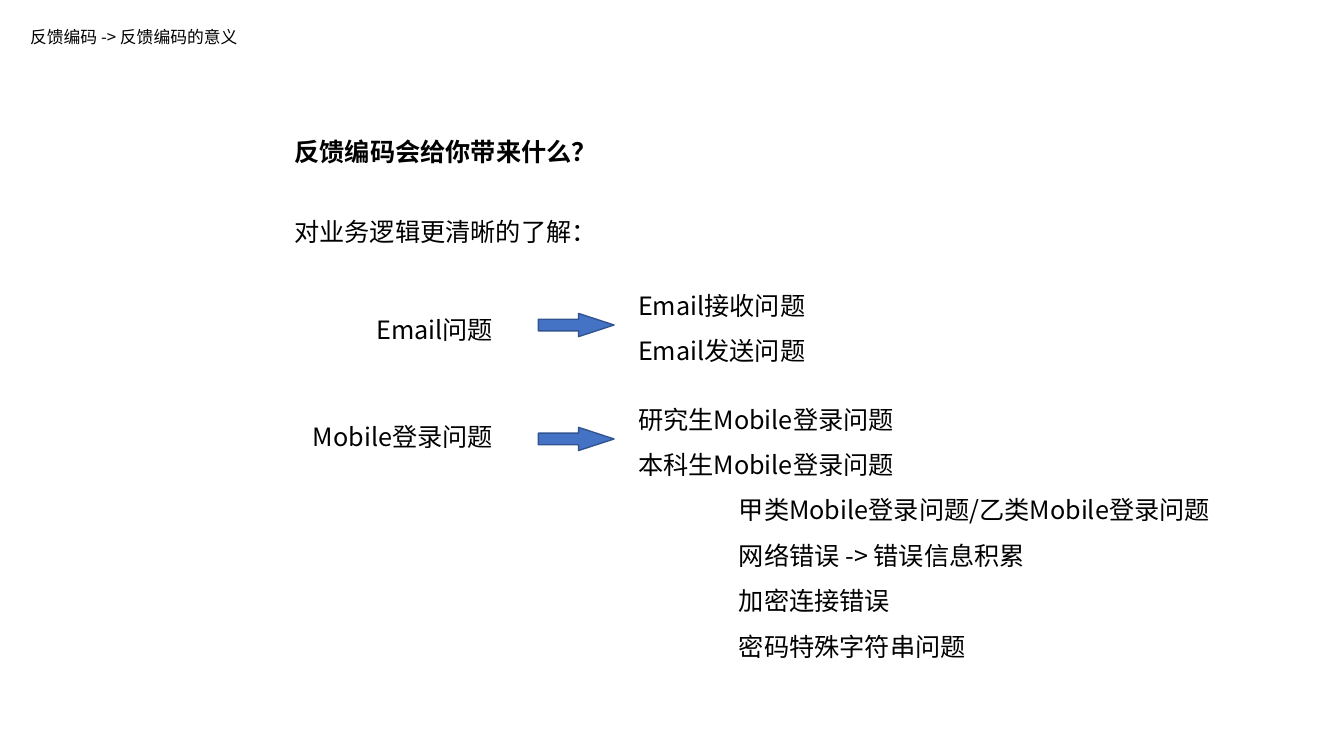
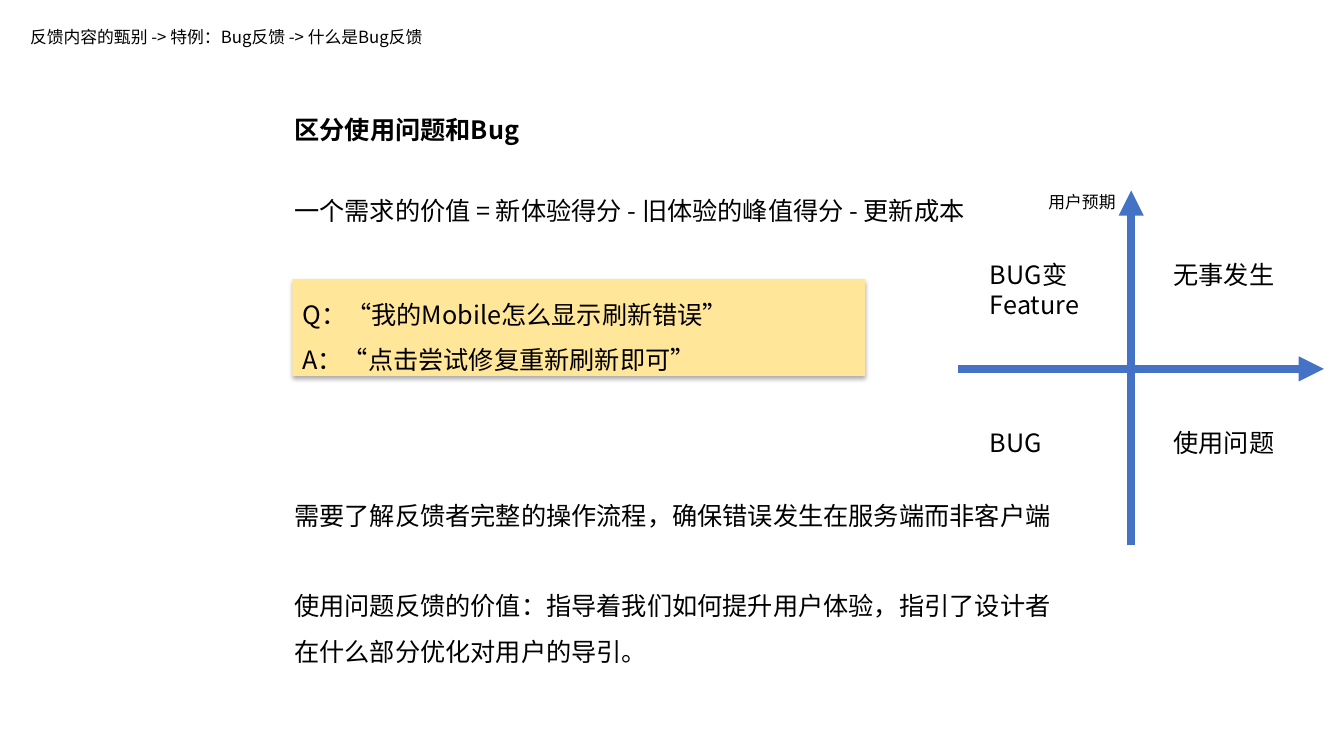
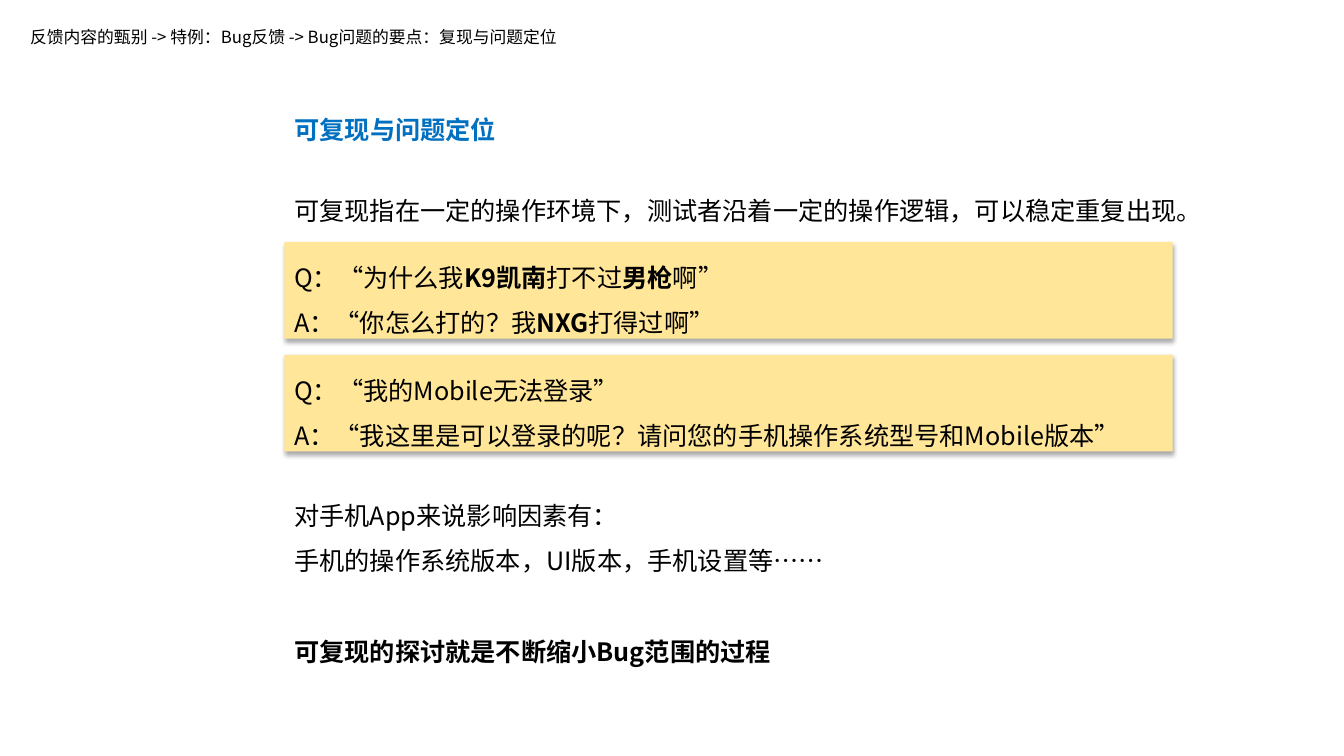
from lxml.etree import SubElement
from pptx import Presentation
from pptx.dml.color import RGBColor
from pptx.enum.shapes import MSO_CONNECTOR as CONNECTOR, MSO_SHAPE as SHAPE
from pptx.enum.text import MSO_ANCHOR as ANCHOR, MSO_AUTO_SIZE as AUTO_SIZE, PP_ALIGN as ALIGN
from pptx.oxml.ns import qn
from pptx.util import Inches, Pt

FONT = "Noto Sans CJK SC"
BLACK = RGBColor(0x00, 0x00, 0x00)
BLUE = RGBColor(0x44, 0x72, 0xC4)
DARK_BLUE = RGBColor(0x32, 0x54, 0x91)
HEADING_BLUE = RGBColor(0x00, 0x70, 0xC0)
YELLOW = RGBColor(0xFF, 0xE6, 0x99)

BODY, SMALL = 18, 12
SPACING = 1.5
ROW, PADDING = 0.45, 0.06
BODY_LEFT, BODY_WIDTH = 2.82, 7.7
TITLE_TOP, LEAD_TOP, CLOSING_TOP = 0.93, 1.74, 4.76
CAUSE_LEFT, ARROW_LEFT, DETAIL_LEFT, CAUSE_WIDTH = 2.66, 5.34, 6.23, 2.33
QUADRANT_LEFTS, QUADRANT_TOPS, QUADRANT_WIDTH = (9.72, 11.54), (2.52, 4.19), 1.59


def box(left, top, width, height):
    """Return a rectangle given in inches as lengths."""
    return [Inches(value) for value in (left, top, width, height)]


def rows(count):
    """Return the height of a box holding this many lines."""
    return PADDING + ROW * count


def write(shape, lines, size=BODY, color=BLACK, bold=False, align=ALIGN.LEFT, spacing=SPACING):
    """Fill a shape with lines in which bars enclose the bold parts."""
    frame = shape.text_frame
    frame.word_wrap = True
    frame.auto_size = AUTO_SIZE.SHAPE_TO_FIT_TEXT
    frame.vertical_anchor = ANCHOR.TOP
    for index, line in enumerate(lines):
        paragraph = frame.paragraphs[0] if index == 0 else frame.add_paragraph()
        paragraph.alignment = align
        paragraph.line_spacing = spacing
        for part, words in enumerate(line.split("|")):
            if words:
                run = paragraph.add_run()
                run.text = words
                run.font.size = Pt(size)
                run.font.bold = bold or part % 2 == 1
                run.font.color.rgb = color
                run.font.name = FONT
                SubElement(run._r.get_or_add_rPr(), qn("a:ea"), typeface=FONT)
    return frame.paragraphs


def add_text(slide, left, top, width, lines, **style):
    """Add a text box as high as its lines and return its paragraphs."""
    text = slide.shapes.add_textbox(*box(left, top, width, rows(len(lines))))
    return write(text, lines, **style)


def add_topic(deck, breadcrumb, heading, top=TITLE_TOP, color=BLACK):
    """Add a slide with its breadcrumb and heading."""
    slide = deck.slides.add_slide(deck.slide_layouts[5])
    title = slide.shapes.title
    title.left, title.top, title.width, title.height = box(BODY_LEFT, top, BODY_WIDTH, rows(1))
    write(title, [heading], color=color, bold=True)
    add_text(slide, 0.2, 0.12, BODY_WIDTH, [breadcrumb], size=SMALL)
    return slide


def add_dialogue(slide, left, top, width, question, answer):
    """Add a yellow card with a question and its answer."""
    card = slide.shapes.add_shape(SHAPE.RECTANGLE, *box(left, top, width, rows(2)))
    card.fill.solid()
    card.fill.fore_color.rgb = YELLOW
    card.line.fill.background()
    card.shadow.inherit = False
    effects = card._element.spPr.find(qn("a:effectLst"))
    shadow = SubElement(effects, qn("a:outerShdw"), blurRad=str(Pt(3.5)), dist=str(Pt(2.2)),
                        dir="5400000", algn="ctr", rotWithShape="0")
    tint = SubElement(shadow, qn("a:srgbClr"), val=str(BLACK))
    SubElement(tint, qn("a:alpha"), val="32000")
    write(card, [f"Q：{question}", f"A：{answer}"])


def add_arrow(slide, top):
    """Add a block arrow leading from a cause to its details."""
    arrow = slide.shapes.add_shape(SHAPE.RIGHT_ARROW, *box(ARROW_LEFT, top, 0.75, 0.23))
    arrow.adjustments[0], arrow.adjustments[1] = 0.5, 1.53
    arrow.fill.solid()
    arrow.fill.fore_color.rgb = BLUE
    arrow.line.color.rgb = DARK_BLUE
    arrow.line.width = Pt(1)
    arrow.shadow.inherit = False


def add_axis(slide, *ends):
    """Add a thick axis with an arrowhead at its far end."""
    axis = slide.shapes.add_connector(CONNECTOR.STRAIGHT, *box(*ends))
    axis.line.color.rgb = BLUE
    axis.line.width = Pt(6)
    properties = axis._element.spPr
    SubElement(properties.find(qn("a:ln")), qn("a:tailEnd"), type="triangle")
    SubElement(properties, qn("a:effectLst"))


def build_meaning(deck):
    """Build the slide on what coding feedback brings."""
    slide = add_topic(deck, "反馈编码 -> 反馈编码的意义", "反馈编码会给你带来什么？", top=1.15)
    add_text(slide, BODY_LEFT, 1.95, BODY_WIDTH, ["对业务逻辑更清晰的了解："])
    add_text(slide, CAUSE_LEFT, 2.92, CAUSE_WIDTH, ["Email问题"], align=ALIGN.RIGHT)
    add_arrow(slide, 3.11)
    add_text(slide, DETAIL_LEFT, 2.68, CAUSE_WIDTH, ["Email接收问题", "Email发送问题"])
    add_text(slide, CAUSE_LEFT, 3.98, CAUSE_WIDTH, ["Mobile登录问题"], align=ALIGN.RIGHT)
    add_arrow(slide, 4.24)
    details = add_text(slide, DETAIL_LEFT, 3.81, 6.56, [
        "研究生Mobile登录问题",
        "本科生Mobile登录问题",
        "甲类Mobile登录问题/乙类Mobile登录问题",
        "网络错误 -> 错误信息积累",
        "加密连接错误",
        "密码特殊字符串问题",
    ])
    for detail in details[2:]:
        detail._p.get_or_add_pPr().set("marL", str(Inches(1)))


def build_distinction(deck):
    """Build the slide that tells usage problems from bugs."""
    slide = add_topic(deck, "反馈内容的甄别 -> 特例：Bug反馈 -> 什么是Bug反馈", "区分使用问题和Bug")
    add_dialogue(slide, 2.9, 2.77, 5.68, "“我的Mobile怎么显示刷新错误”", "“点击尝试修复重新刷新即可”")
    add_text(slide, BODY_LEFT, LEAD_TOP, BODY_WIDTH,
             ["一个需求的价值 = 新体验得分 - 旧体验的峰值得分 - 更新成本"])
    closing = add_text(slide, BODY_LEFT, CLOSING_TOP, BODY_WIDTH, [
        "需要了解反馈者完整的操作流程，确保错误发生在服务端而非客户端",
        "使用问题反馈的价值：指导着我们如何提升用户体验，指引了设计者在什么部分优化对用户的导引。",
    ])
    closing[1].space_before = Inches(ROW)
    add_axis(slide, 9.5, 3.66, 13.13, 3.66)
    add_axis(slide, 11.22, 5.41, 11.22, 1.89)
    add_text(slide, 10.3, 1.85, QUADRANT_WIDTH, ["用户预期"], size=SMALL, spacing=1)
    quadrants = (("BUG变Feature", "无事发生"), ("BUG", "使用问题"))
    for top, labels in zip(QUADRANT_TOPS, quadrants):
        for left, label in zip(QUADRANT_LEFTS, labels):
            add_text(slide, left, top, QUADRANT_WIDTH, [label], spacing=1)


def build_reproduction(deck):
    """Build the slide on reproducing and locating a bug."""
    slide = add_topic(deck, "反馈内容的甄别 -> 特例：Bug反馈 -> Bug问题的要点：复现与问题定位",
                      "可复现与问题定位", color=HEADING_BLUE)
    add_text(slide, BODY_LEFT, LEAD_TOP, 9.01,
             ["可复现指在一定的操作环境下，测试者沿着一定的操作逻辑，可以稳定重复出现。"])
    dialogues = (
        ("“为什么我|K9凯南|打不过|男枪|啊”", "“你怎么打的？我|NXG|打得过啊”"),
        ("“我的Mobile无法登录”", "“我这里是可以登录的呢？请问您的手机操作系统型号和Mobile版本”"),
    )
    for index, (question, answer) in enumerate(dialogues):
        add_dialogue(slide, BODY_LEFT, 2.4 + 1.12 * index, 8.81, question, answer)
    closing = add_text(slide, BODY_LEFT, CLOSING_TOP, BODY_WIDTH, [
        "对手机App来说影响因素有：",
        "手机的操作系统版本，UI版本，手机设置等……",
        "|可复现的探讨就是不断缩小Bug范围的过程|",
    ])
    closing[2].space_before = Inches(ROW)


def main():
    """Build the deck and save it."""
    deck = Presentation()
    deck.slide_width, deck.slide_height = Inches(13.33), Inches(7.5)
    build_meaning(deck)
    build_distinction(deck)
    build_reproduction(deck)
    deck.save("out.pptx")


if __name__ == "__main__":
    main()
